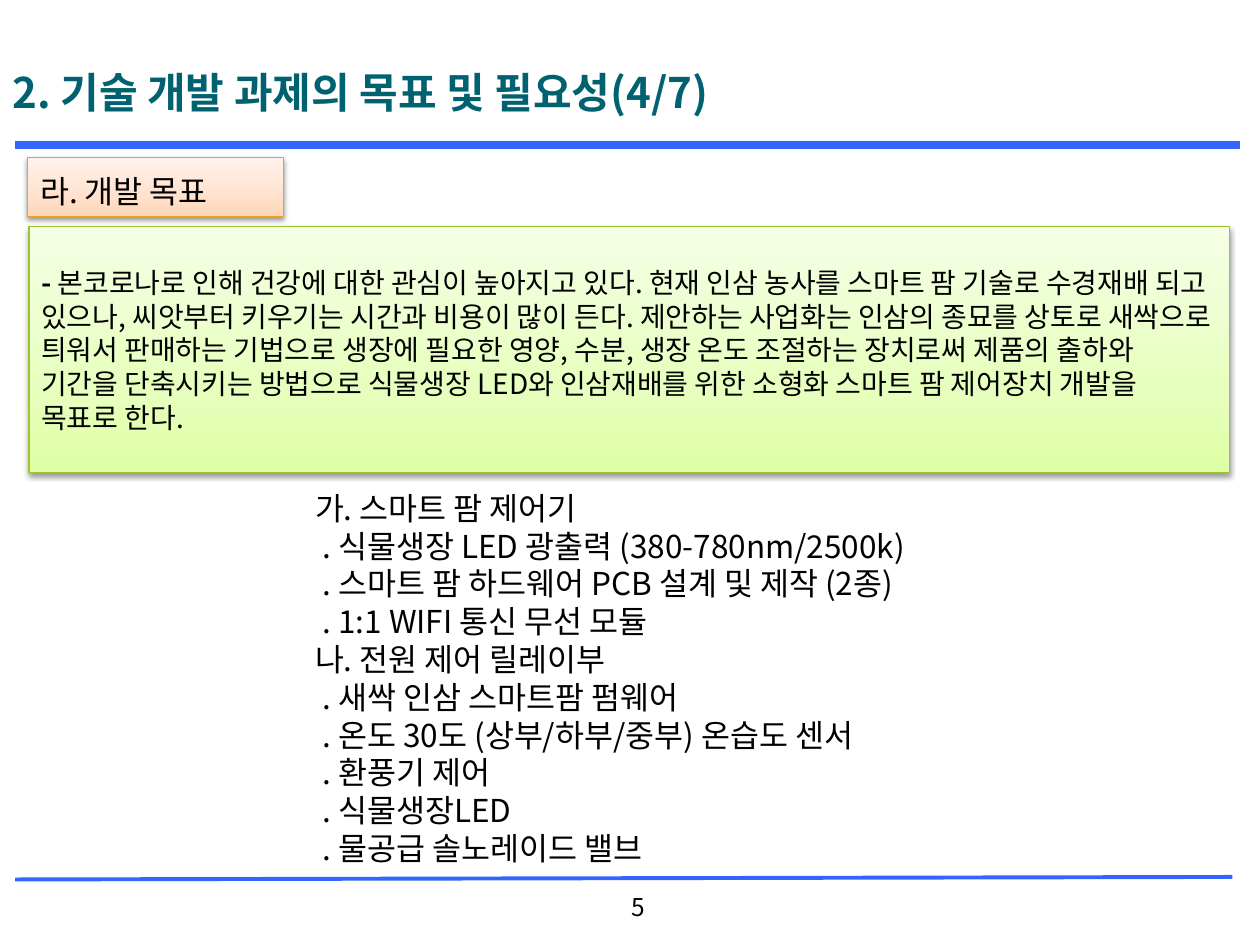
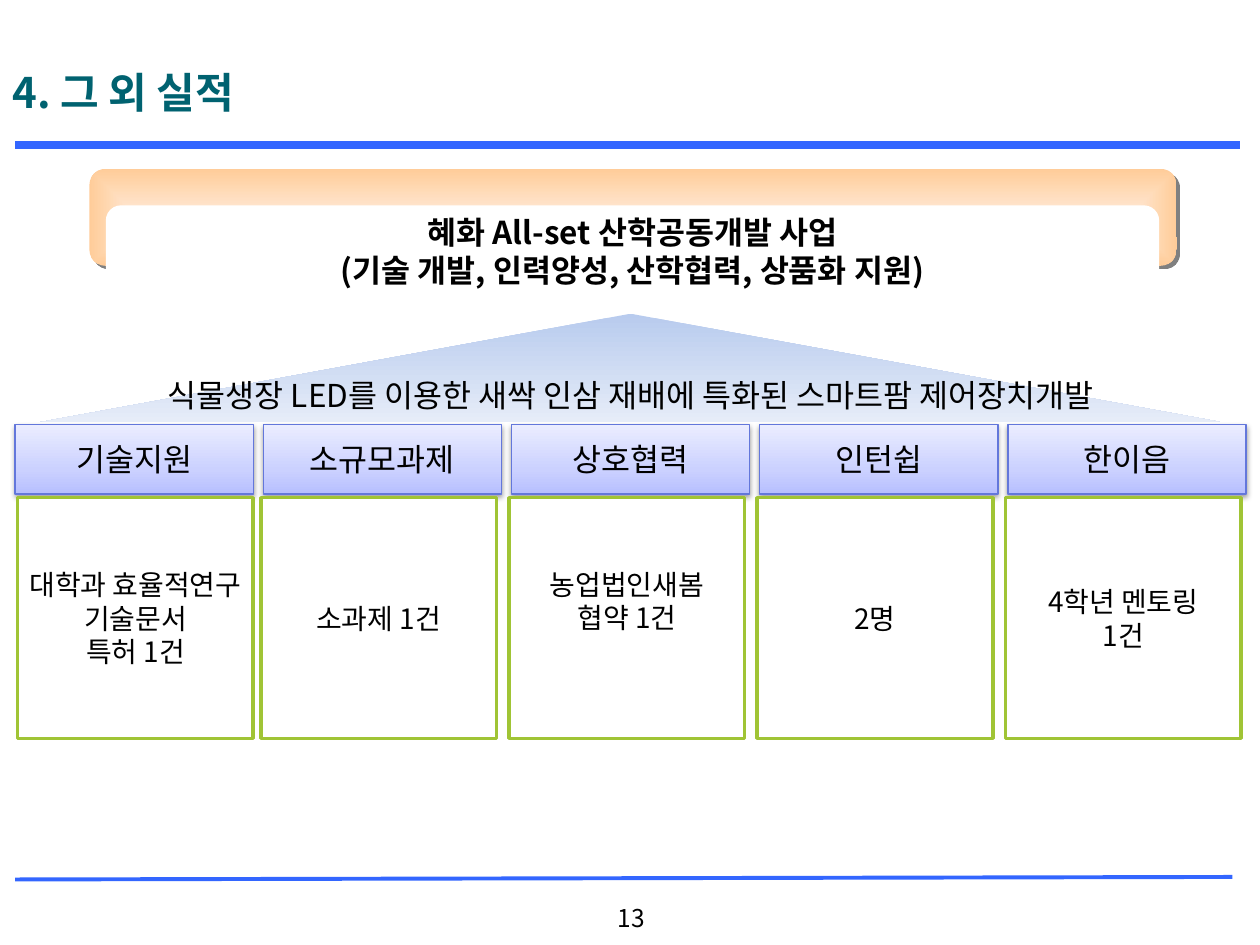
from dataclasses import dataclass

from lxml.etree import SubElement
from pptx import Presentation
from pptx.dml.color import RGBColor
from pptx.enum.shapes import MSO_CONNECTOR, MSO_SHAPE
from pptx.enum.text import MSO_ANCHOR, MSO_AUTO_SIZE, PP_ALIGN
from pptx.oxml.ns import qn
from pptx.util import Inches, Pt

FONT = "Noto Sans CJK KR"
COLUMNS, ROWS = 100, 75
SLIDE_WIDTH, SLIDE_HEIGHT = Inches(10), Inches(7.5)

BLACK = RGBColor(0x00, 0x00, 0x00)
WHITE = RGBColor(0xFF, 0xFF, 0xFF)
GRAY = RGBColor(0x80, 0x80, 0x80)
TEAL = RGBColor(0x00, 0x62, 0x70)
RULE_BLUE = RGBColor(0x33, 0x66, 0xFF)
ORANGE_LINE = RGBColor(0xF2, 0x9C, 0x20)
GREEN_LINE = RGBColor(0x9E, 0xC3, 0x30)
CELL_LINE = RGBColor(0xA0, 0xC4, 0x35)
HEADER_LINE = RGBColor(0x63, 0x77, 0xDB)

ORANGE_STOPS = ((0, RGBColor(0xFF, 0xD5, 0xB7)), (35, RGBColor(0xFF, 0xE1, 0xCD)),
                (100, RGBColor(0xFF, 0xF3, 0xEC)))
GREEN_STOPS = ((0, RGBColor(0xDE, 0xFF, 0xA4)), (35, RGBColor(0xE7, 0xFF, 0xBE)),
               (100, RGBColor(0xF5, 0xFF, 0xE6)))
HEADER_STOPS = ((0, RGBColor(0xB7, 0xBF, 0xFF)), (35, RGBColor(0xCB, 0xD1, 0xFF)),
                (100, RGBColor(0xEB, 0xED, 0xFF)))
ROOF_STOPS = ((0, RGBColor(0xB8, 0xCB, 0xEE)), (100, RGBColor(0xE6, 0xEC, 0xF8)))
BANNER_STOPS = ((0, RGBColor(0xFF, 0xEB, 0xDA)), (100, RGBColor(0xFF, 0xCC, 0x99)))

SOFT_SHADOW = (BLACK, 38, 3.1, 1.6, 90)
HARD_SHADOW = (GRAY, 100, 0, 2.8, 45)


@dataclass
class Box:
    left: float
    top: float
    width: float
    height: float

    def inner(self, left, top, width, height):
        return Box(self.left + left, self.top + top, width, height)

    def lengths(self):
        return (across(self.left), down(self.top), across(self.width), down(self.height))


def across(columns):
    return round(SLIDE_WIDTH * columns / COLUMNS)


def down(rows):
    return round(SLIDE_HEIGHT * rows / ROWS)


def write(shape, lines, size=18, color=BLACK, bold=False, align=PP_ALIGN.LEFT,
          anchor=MSO_ANCHOR.MIDDLE, wrap=True, leading=1.2, indents=None):
    frame = shape.text_frame
    frame.auto_size = MSO_AUTO_SIZE.NONE
    frame.word_wrap = wrap
    frame.vertical_anchor = anchor
    for index, line in enumerate(lines):
        paragraph = frame.paragraphs[0] if index == 0 else frame.add_paragraph()
        properties = paragraph._p.get_or_add_pPr()
        properties.set("marL", str(across(indents[index] if indents else 0)))
        properties.set("indent", "0")
        SubElement(properties, qn("a:buNone"))
        paragraph.alignment = align
        paragraph.space_before = Pt(0)
        paragraph.line_spacing = Pt(round(size * leading, 1))
        runs = [(line, bold)] if isinstance(line, str) else line
        for text, is_bold in runs:
            run = paragraph.add_run()
            run.text = text
            run.font.size = Pt(size)
            run.font.bold = is_bold
            run.font.color.rgb = color
            run.font.name = FONT
            SubElement(run._r.get_or_add_rPr(), qn("a:ea"), typeface=FONT)


def color_element(parent, color):
    return SubElement(parent, qn("a:srgbClr"), val=str(color))


def fill_gradient(shape, stops, angle):
    shape.fill.gradient()
    gradient = shape._element.spPr.find(qn("a:gradFill"))
    stop_list = gradient.find(qn("a:gsLst"))
    for stop in list(stop_list):
        stop_list.remove(stop)
    for position, color in stops:
        color_element(SubElement(stop_list, qn("a:gs"), pos=str(position * 1000)), color)
    if angle is None:
        gradient.remove(gradient.find(qn("a:lin")))
        center = SubElement(gradient, qn("a:path"), attrib={"path": "shape"})
        SubElement(center, qn("a:fillToRect"), l="50000", t="50000", r="50000", b="50000")
    else:
        shape.fill.gradient_angle = angle


def add_shadow(shape, color, opacity, blur, distance, direction):
    effects = shape._element.spPr.find(qn("a:effectLst"))
    shadow = SubElement(effects, qn("a:outerShdw"), blurRad=str(Pt(blur)), dist=str(Pt(distance)),
                        dir=str(direction * 60000), algn="ctr", rotWithShape="0")
    SubElement(color_element(shadow, color), qn("a:alpha"), val=str(opacity * 1000))


def add_block(slide, box, kind=MSO_SHAPE.RECTANGLE, stops=None, angle=90,
              line=None, line_width=0.75, shadow=None):
    shape = slide.shapes.add_shape(kind, *box.lengths())
    shape.shadow.inherit = False
    if stops:
        fill_gradient(shape, stops, angle)
    else:
        shape.fill.solid()
        shape.fill.fore_color.rgb = WHITE
    if line is None:
        shape.line.fill.background()
    else:
        shape.line.color.rgb = line
        shape.line.width = Pt(line_width)
    if shadow:
        add_shadow(shape, *shadow)
    return shape


def add_rule(slide, start, end, width):
    rule = slide.shapes.add_connector(MSO_CONNECTOR.STRAIGHT, across(start[0]), down(start[1]),
                                      across(end[0]), down(end[1]))
    rule.line.color.rgb = RULE_BLUE
    rule.line.width = Pt(width)
    SubElement(rule._element.spPr, qn("a:effectLst"))


def move(shape, box):
    shape.left, shape.top, shape.width, shape.height = box.lengths()


def add_framed_slide(presentation, layout_name, title, number, number_box):
    slide = presentation.slides.add_slide(presentation.slide_layouts.get_by_name(layout_name))
    add_rule(slide, (1.2, 11.5), (98.4, 11.5), 4.5)
    add_rule(slide, (1.2, 69.8), (97.8, 69.6), 2.25)
    move(slide.shapes.title, Box(0, 4.4, 97.2, 5.8))
    write(slide.shapes.title, [title], size=24, color=TEAL, bold=True)
    page_number = slide.shapes.add_textbox(*number_box.lengths())
    write(page_number, [number], size=14, align=PP_ALIGN.CENTER, anchor=MSO_ANCHOR.BOTTOM)
    return slide


def add_goal_statement(slide, box, heading, statement):
    label = add_block(slide, box.inner(0, 0, 20.3, 4.7), stops=ORANGE_STOPS,
                      line=ORANGE_LINE, shadow=SOFT_SHADOW)
    write(label, [heading], leading=1.44)
    panel = add_block(slide, box.inner(0.1, 5.5, box.width - 0.1, box.height - 5.5),
                      stops=GREEN_STOPS, line=GREEN_LINE, shadow=SOFT_SHADOW)
    write(panel, [[("- ", True), (statement, False)]], size=16)


def add_goal_list(slide, box, groups):
    lines, indents = [], []
    for heading, items in groups:
        lines += [heading] + [f". {item}" for item in items]
        indents += [0] + [0.6] * len(items)
    body = slide.placeholders[1]
    move(body, box)
    write(body, lines, anchor=MSO_ANCHOR.TOP, indents=indents)


def add_program_banner(slide, box, lines):
    add_block(slide, box.inner(0, 0, box.width, 7.7), MSO_SHAPE.ROUNDED_RECTANGLE,
              stops=BANNER_STOPS, angle=None, shadow=HARD_SHADOW)
    front = add_block(slide, box.inner(1.3, 2.9, box.width - 2.7, 7.2),
                      MSO_SHAPE.ROUNDED_RECTANGLE)
    write(front, lines, bold=True, align=PP_ALIGN.CENTER, wrap=False)


def add_roof(slide, box, text):
    roof = add_block(slide, box, MSO_SHAPE.ISOSCELES_TRIANGLE, stops=ROOF_STOPS, angle=270)
    write(roof, [text], align=PP_ALIGN.CENTER, wrap=False)


def add_result_columns(slide, box, results):
    header_width, cell_width = 18.9, 18.7
    pitch = (box.width - header_width) / (len(results) - 1)
    for index, (heading, lines, raised_lines) in enumerate(results):
        left = index * pitch
        header = add_block(slide, box.inner(left, 0, header_width, 5.5), stops=HEADER_STOPS,
                           line=HEADER_LINE, shadow=SOFT_SHADOW)
        write(header, [heading], align=PP_ALIGN.CENTER, wrap=False)
        cell_shift = -0.2 if index else 0.2
        cell = add_block(slide, box.inner(left + cell_shift, 5.8, cell_width, box.height - 5.8),
                         line=CELL_LINE, line_width=2)
        write(cell, lines, size=16, align=PP_ALIGN.CENTER, wrap=False)
        cell.text_frame.margin_bottom = down(0.5 + 2.7 * raised_lines)


def build_goal_slide(presentation):
    slide = add_framed_slide(presentation, "Title and Content",
                             "2. 기술 개발 과제의 목표 및 필요성(4/7)", "5",
                             Box(41.1, 70.6, 19.2, 3))
    add_goal_statement(
        slide, Box(2.2, 12.5, 95.4, 25), "라. 개발 목표",
        "본코로나로 인해 건강에 대한 관심이 높아지고 있다. 현재 인삼 농사를 스마트 팜 기술로 "
        "수경재배 되고 있으나, 씨앗부터 키우기는 시간과 비용이 많이 든다. 제안하는 사업화는 "
        "인삼의 종묘를 상토로 새싹으로 틔워서 판매하는 기법으로 생장에 필요한 영양, 수분, 생장 "
        "온도 조절하는 장치로써 제품의 출하와 기간을 단축시키는 방법으로 식물생장 LED와 "
        "인삼재배를 위한 소형화 스마트 팜 제어장치 개발을 목표로 한다.")
    add_goal_list(slide, Box(24, 38.3, 56.3, 31.3), [
        ("가. 스마트 팜 제어기", ["식물생장 LED 광출력 (380-780nm/2500k)",
                          "스마트 팜 하드웨어 PCB 설계 및 제작 (2종)",
                          "1:1 WIFI 통신 무선 모듈"]),
        ("나. 전원 제어 릴레이부", ["새싹 인삼 스마트팜 펌웨어",
                           "온도 30도 (상부/하부/중부) 온습도 센서",
                           "환풍기 제어", "식물생장LED", "물공급 솔노레이드 밸브"]),
    ])


def build_results_slide(presentation):
    slide = add_framed_slide(presentation, "Title Only", "4. 그 외 실적", "13",
                             Box(40.5, 69.5, 19.2, 5))
    add_roof(slide, Box(3.2, 24.9, 93.7, 8.6),
             "식물생장 LED를 이용한 새싹 인삼 재배에 특화된 스마트팜 제어장치개발")
    add_program_banner(slide, Box(7.1, 13.4, 86.3, 10.1),
                       ["혜화 All-set 산학공동개발 사업",
                        "(기술 개발, 인력양성, 산학협력, 상품화 지원)"])
    add_result_columns(slide, Box(1.2, 33.7, 97.7, 24.9), [
        ("기술지원", ["대학과 효율적연구", "기술문서", "특허 1건"], 0),
        ("소규모과제", ["소과제 1건"], 0),
        ("상호협력", ["농업법인새봄", "협약 1건"], 1),
        ("인턴쉽", ["2명"], 0),
        ("한이음", ["4학년 멘토링", "1건"], 0),
    ])


def main():
    presentation = Presentation()
    presentation.slide_width, presentation.slide_height = SLIDE_WIDTH, SLIDE_HEIGHT
    build_goal_slide(presentation)
    build_results_slide(presentation)
    presentation.save("out.pptx")


if __name__ == "__main__":
    main()
